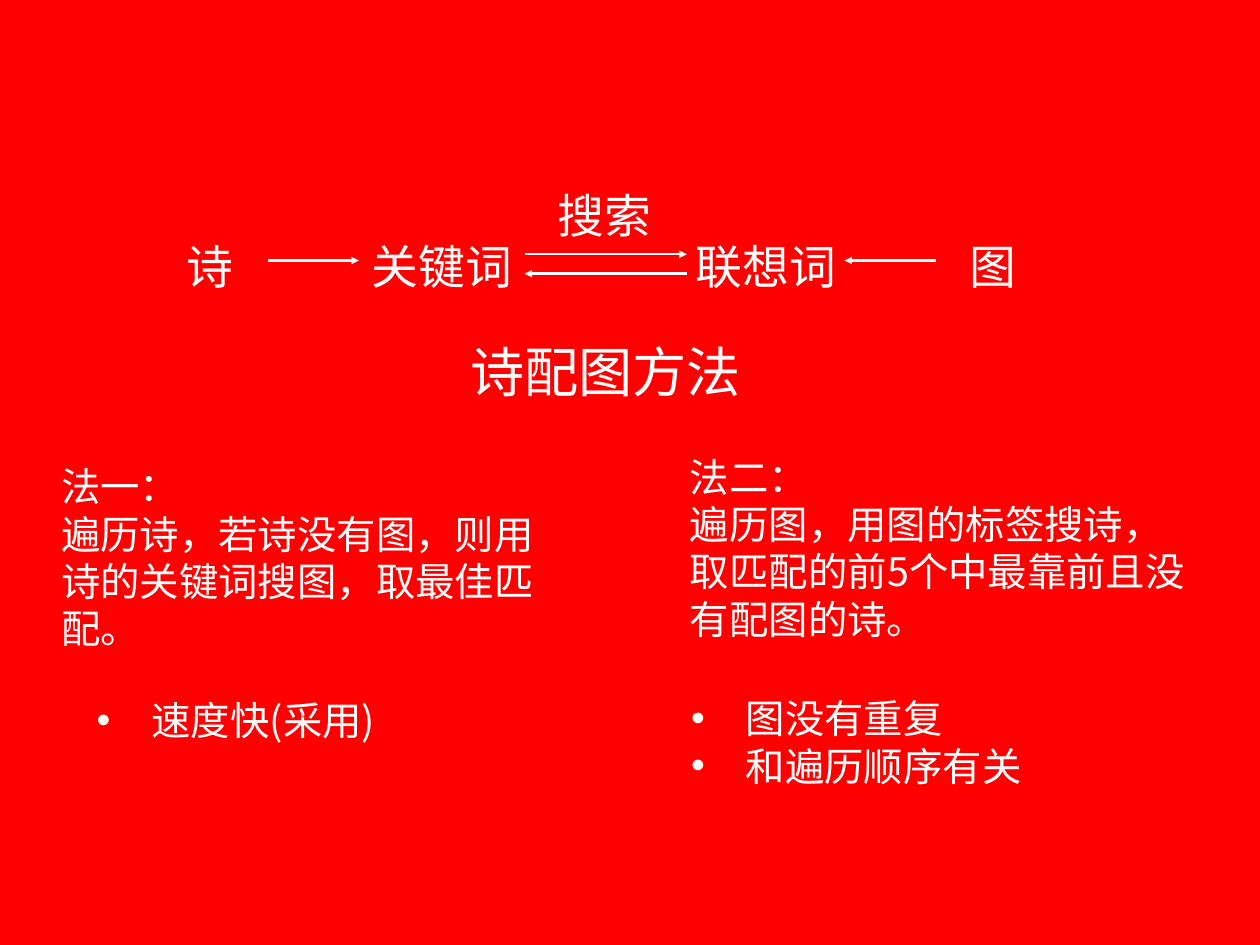
"""Build the slide on matching poems with pictures through keywords."""
from dataclasses import dataclass

from lxml.etree import SubElement
from pptx import Presentation
from pptx.dml.color import RGBColor
from pptx.dml.fill import FillFormat
from pptx.enum.shapes import MSO_CONNECTOR as Connector
from pptx.enum.text import MSO_ANCHOR as Anchor, MSO_AUTO_SIZE as AutoSize, PP_ALIGN as Align
from pptx.oxml.ns import qn
from pptx.shapes.autoshape import Shape
from pptx.slide import Slide
from pptx.util import Cm, Pt

RED = "FF0000"
WHITE = "FFFFFF"
FONT = "Noto Sans CJK SC"
LINE_RATIO = 1.2
SHIFT_RATIO = 0.1
INSET = Cm(0.15)
INDENT = Cm(1.57)
ROW_TOP, ROW_HEIGHT = 6.4, 2.16


@dataclass(frozen=True)
class Block:
    lines: tuple[str, ...]
    left: float
    top: float
    width: float
    height: float
    size: int = 38
    align: Align = Align.CENTER
    anchor: Anchor = Anchor.MIDDLE
    bullets: bool = False


@dataclass(frozen=True)
class Arrow:
    start: float
    end: float
    height: float


TITLE = Block(("诗配图方法",), 2.62, 9.4, 29.49, 2.46, 44, anchor=Anchor.TOP)

LISTS = (
    Block(("速度快(采用)",), 1.75, 19.58, 10.03, 1.88, 32, bullets=True),
    Block(("图没有重复", "和遍历顺序有关"), 19.66, 19.43, 14.27, 3.45, 32,
          Align.LEFT, bullets=True),
)

POEM = Block(("诗",), 4.37, ROW_TOP, 3.3, ROW_HEIGHT)
KEYWORD = Block(("关键词",), 10.29, ROW_TOP, 4.75, ROW_HEIGHT)
ASSOCIATION = Block(("联想词",), 19.69, ROW_TOP, 4.52, ROW_HEIGHT)
IMAGE = Block(("图",), 26.82, ROW_TOP, 3.3, ROW_HEIGHT)
SEARCH = Block(("搜索",), 15.62, 4.95, 3.4, ROW_HEIGHT)

METHODS = (
    Block(("法一：", "遍历诗，若诗没有图，则用诗的关键词搜图，取最佳匹配。"),
          1.6, 13, 14.96, 5.05, 32, Align.LEFT, Anchor.TOP),
    Block(("法二：", "遍历图，用图的标签搜诗，取匹配的前5个中最靠前且没有配图的诗。"),
          19.63, 12.73, 14.96, 6.63, 32, Align.LEFT, Anchor.TOP),
)

KEYWORD_RIGHT = KEYWORD.left + KEYWORD.width
ARROWS = (
    Arrow(IMAGE.left, ASSOCIATION.left + ASSOCIATION.width, 7.47),
    Arrow(POEM.left + POEM.width, KEYWORD.left, 7.47),
    Arrow(KEYWORD_RIGHT, ASSOCIATION.left, 7.29),
    Arrow(ASSOCIATION.left, KEYWORD_RIGHT, 7.85),
)


def paint(fill: FillFormat, color: str) -> None:
    fill.solid()
    fill.fore_color.rgb = RGBColor.from_string(color)


def apply(target: object, values: dict[str, object]) -> None:
    for name, value in values.items():
        setattr(target, name, value)


def write(box: Shape, block: Block) -> None:
    shift = Pt(block.size * SHIFT_RATIO)
    apply(box, {"left": Cm(block.left), "top": Cm(block.top),
                "width": Cm(block.width), "height": Cm(block.height)})
    frame = box.text_frame
    apply(frame, {"word_wrap": True, "auto_size": AutoSize.NONE,
                  "vertical_anchor": block.anchor,
                  "margin_left": INSET, "margin_right": INSET,
                  "margin_top": INSET + shift,
                  "margin_bottom": max(0, INSET - shift)})
    frame.text = "\n".join(block.lines)
    for para in frame.paragraphs:
        apply(para, {"alignment": block.align, "space_before": Pt(0),
                     "space_after": Pt(0),
                     "line_spacing": Pt(block.size * LINE_RATIO)})
        for span in para.runs:
            apply(span.font, {"name": FONT, "size": Pt(block.size), "bold": False})
            paint(span.font.fill, WHITE)
    for properties in box.element.iter(qn("a:rPr")):
        SubElement(properties, qn("a:ea"), typeface=FONT)
    if block.bullets:
        for properties in box.element.iter(qn("a:pPr")):
            properties.set("marL", str(INDENT))
            properties.set("indent", str(-INDENT))
            SubElement(properties, qn("a:buFont"), typeface="Arial")
            SubElement(properties, qn("a:buChar"), char="•")


def draw_arrow(page: Slide, arrow: Arrow) -> None:
    height = Cm(arrow.height)
    line = page.shapes.add_connector(
        Connector.STRAIGHT, Cm(arrow.start), height, Cm(arrow.end), height)
    line.line.width = Pt(2)
    paint(line.line.fill, WHITE)
    properties = line.element.spPr
    SubElement(properties.find(qn("a:ln")), qn("a:tailEnd"), type="triangle")
    SubElement(properties, qn("a:effectLst"))


def main() -> None:
    deck = Presentation()
    apply(deck, {"slide_width": Cm(36.12), "slide_height": Cm(27.1)})
    page = deck.slides.add_slide(deck.slide_layouts.get_by_name("Two Content"))
    paint(page.background.fill, RED)
    for box, block in zip(page.placeholders, (TITLE, *LISTS)):
        write(box, block)
    for block in (POEM, KEYWORD, ASSOCIATION, IMAGE, SEARCH, *METHODS):
        write(page.shapes.add_textbox(0, 0, 0, 0), block)
    for arrow in ARROWS:
        draw_arrow(page, arrow)
    deck.save("out.pptx")


if __name__ == "__main__":
    main()
